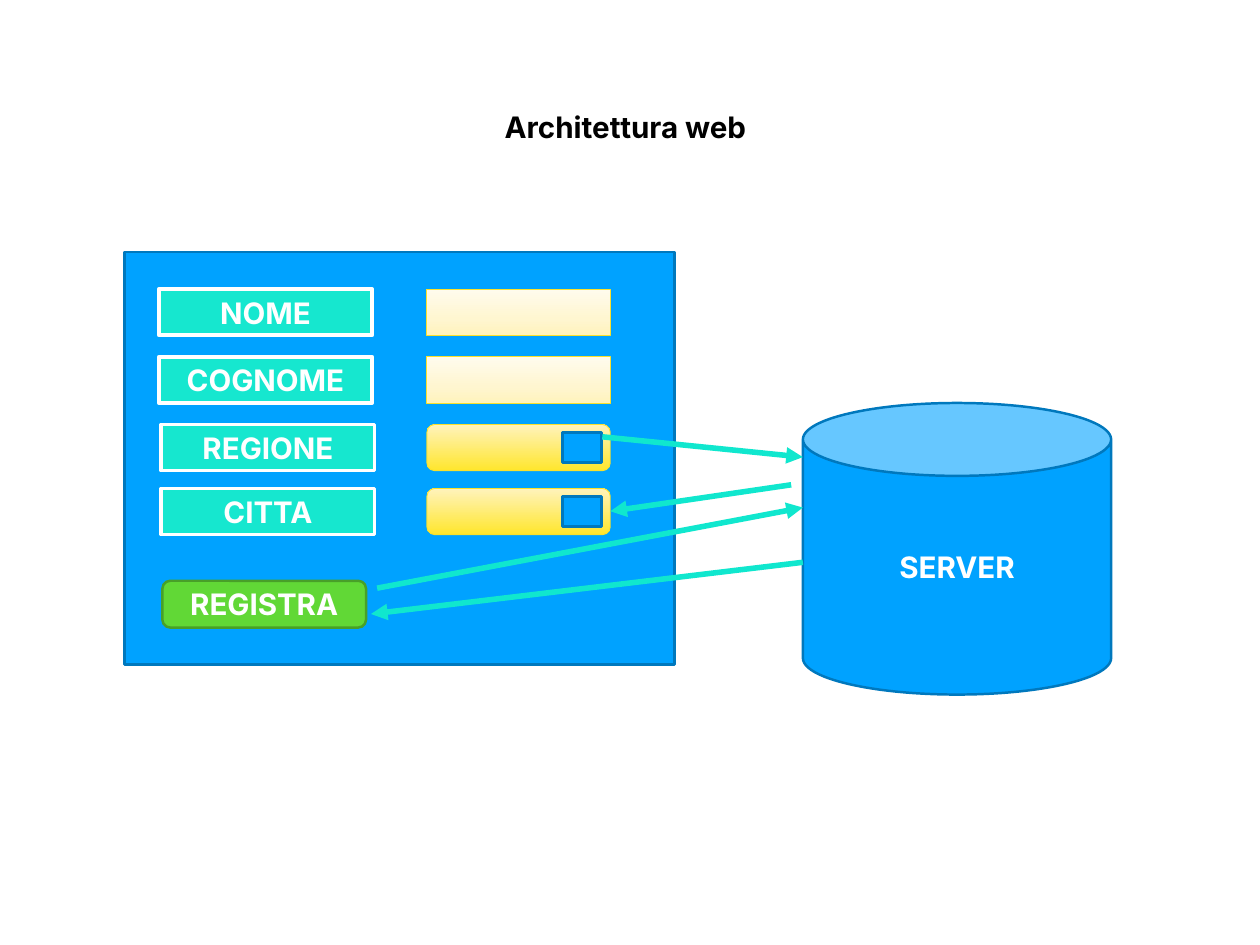
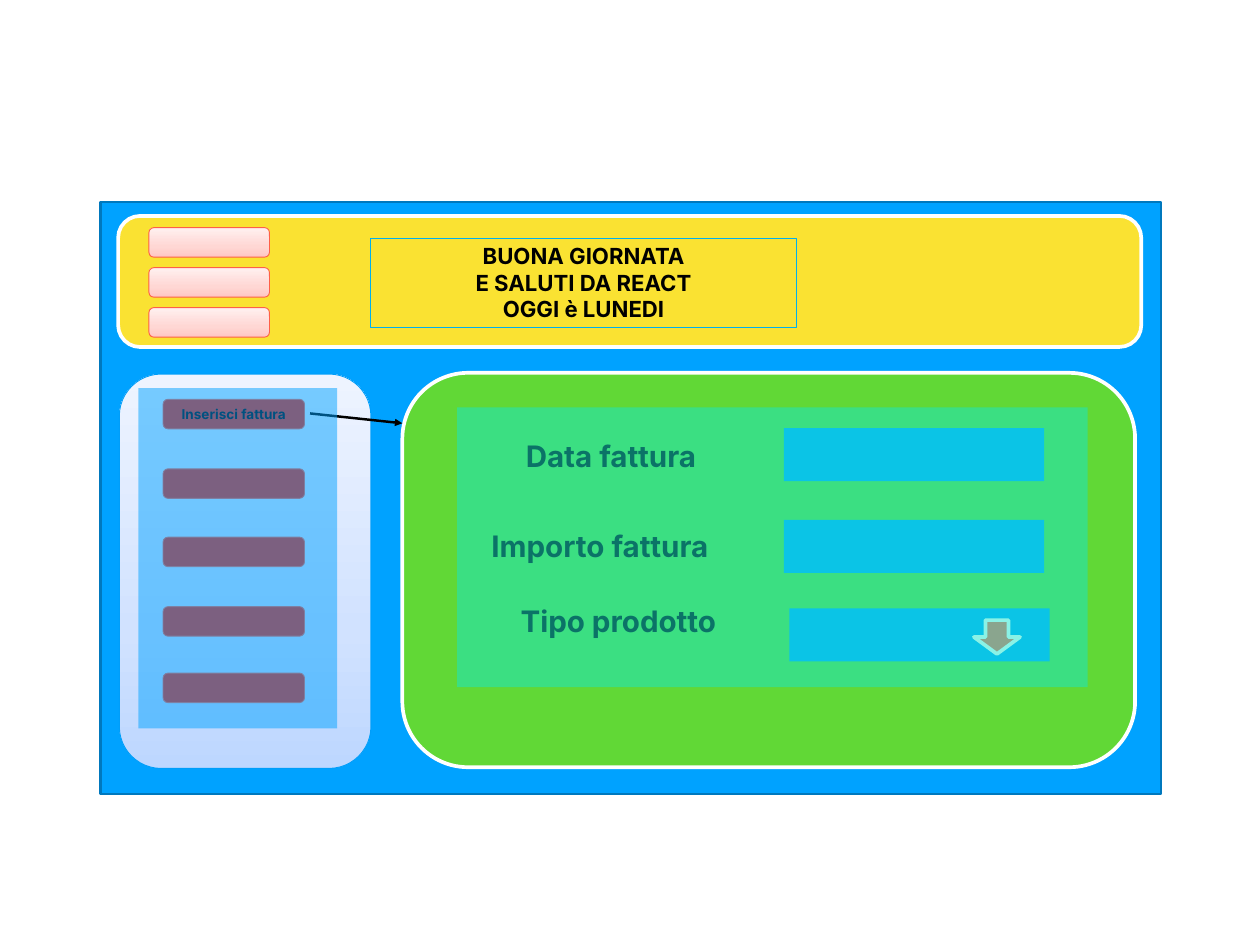
from copy import deepcopy
from dataclasses import dataclass
from typing import NamedTuple, Optional

from pptx import Presentation
from pptx import util as u
from pptx.dml.color import RGBColor
from pptx.enum import shapes as kinds, text as txt
from pptx.oxml import ns, xmlchemy

BLACK = RGBColor(0x00, 0x00, 0x00)
WHITE = RGBColor(0xFF, 0xFF, 0xFF)
BLUE = RGBColor(0x00, 0xA2, 0xFF)
DARK_BLUE = RGBColor(0x00, 0x78, 0xBD)
SKY = RGBColor(0x00, 0xB0, 0xF0)
SIDEBAR_EDGE = RGBColor(0x00, 0x9E, 0xF9)
TEAL = RGBColor(0x16, 0xE7, 0xCF)
ARROW_TEAL = RGBColor(0x10, 0xE7, 0xCE)
GREEN = RGBColor(0x61, 0xD8, 0x36)
DARK_GREEN = RGBColor(0x48, 0xA0, 0x28)
YELLOW = RGBColor(0xFA, 0xE2, 0x32)
GOLD = RGBColor(0xF9, 0xE1, 0x2C)
RED = RGBColor(0xFA, 0x1F, 0x00)
CORAL = RGBColor(0xFE, 0x5F, 0x48)
SALMON = RGBColor(0xFF, 0x64, 0x4E)

Gradient = tuple[tuple[float, RGBColor], ...]
CREAM_FADE: Gradient = (
    (0, RGBColor(0xFF, 0xF3, 0xBC)),
    (0.35, RGBColor(0xFF, 0xF6, 0xD0)),
    (1, RGBColor(0xFF, 0xFB, 0xED)),
)
YELLOW_FADE: Gradient = (
    (0, RGBColor(0xFF, 0xE6, 0x2D)),
    (1, RGBColor(0xFF, 0xF3, 0xBC)),
)
PINK_FADE: Gradient = (
    (0, RGBColor(0xFF, 0xC6, 0xC2)),
    (0.35, RGBColor(0xFF, 0xD7, 0xD4)),
    (1, RGBColor(0xFF, 0xF0, 0xEF)),
)
ICE_FADE: Gradient = (
    (0, RGBColor(0xBD, 0xD7, 0xFF)),
    (0.35, RGBColor(0xD1, 0xE2, 0xFF)),
    (1, RGBColor(0xEE, 0xF4, 0xFF)),
)

RECT = kinds.MSO_SHAPE.RECTANGLE
ROUND = kinds.MSO_SHAPE.ROUNDED_RECTANGLE
MIDDLE = txt.MSO_ANCHOR.MIDDLE
FONT = {"name": "Inter", "bold": True}
LABEL_FRAME = {
    "word_wrap": True,
    "vertical_anchor": MIDDLE,
    "auto_size": txt.MSO_AUTO_SIZE.NONE,
    "margin_left": u.Pt(4),
    "margin_right": u.Pt(4),
    "margin_top": u.Pt(4),
    "margin_bottom": u.Pt(4),
}


class Box(NamedTuple):
    left: float
    top: float
    width: float
    height: float


class Arrow(NamedTuple):
    x1: float
    y1: float
    x2: float
    y2: float


@dataclass(frozen=True)
class Look:
    fill: RGBColor | Gradient | None
    line: Optional[RGBColor] = None
    weight: float = 0.75
    geometry: kinds.MSO_SHAPE = RECT
    alpha: Optional[int] = None


PANEL = Look(BLUE, DARK_BLUE, 2)
SERVER = Look(BLUE, DARK_BLUE, 2, kinds.MSO_SHAPE.CAN)
FIELD_NAME = Look(TEAL, WHITE, 3)
TEXT_INPUT = Look(CREAM_FADE, GOLD)
DROPDOWN = Look(YELLOW_FADE, GOLD, geometry=ROUND)
REGISTER_BUTTON = Look(GREEN, DARK_GREEN, 2, ROUND)
HEADER = Look(YELLOW, WHITE, 3, ROUND)
MENU_BAR = Look(PINK_FADE, CORAL, geometry=ROUND)
GREETING = Look(None, SKY)
SIDEBAR = Look(ICE_FADE, SIDEBAR_EDGE, geometry=ROUND)
MENU_BUTTON = Look(RED, CORAL, geometry=ROUND)
CONTENT = Look(GREEN, WHITE, 3, ROUND)
INVOICE_INPUT = Look(BLUE)
DROP_ARROW = Look(SALMON, WHITE, 3, kinds.MSO_SHAPE.DOWN_ARROW)
CONTENT_VEIL = Look(TEAL, alpha=50)
SIDEBAR_VEIL = Look(BLUE, alpha=50)


def points(lengths: tuple) -> list:
    return [u.Pt(length) for length in lengths]


def set_all(target: object, values: dict) -> None:
    for name, value in values.items():
        setattr(target, name, value)


def add_child(parent, tag: str, **attributes: str) -> None:
    child = xmlchemy.OxmlElement(tag)
    for name, value in attributes.items():
        child.set(name, value)
    parent.append(child)


def paint_gradient(shape, stops: Gradient) -> None:
    shape.fill.gradient()
    shape.fill.gradient_angle = 90
    stop_list = shape._element.spPr.find(".//" + ns.qn("a:gsLst"))
    for _ in stops[2:]:
        stop_list.append(deepcopy(stop_list[0]))
    for stop, (position, color) in zip(shape.fill.gradient_stops, stops):
        stop.color.rgb = color
        stop.position = position


def write(frame, lines: str, size: float, color: RGBColor, layout: dict) -> None:
    frame.text = lines
    set_all(frame, layout)
    for paragraph in frame.paragraphs:
        paragraph.alignment = txt.PP_ALIGN.CENTER
        for run in paragraph.runs:
            set_all(run.font, FONT | {"size": u.Pt(size)})
            run.font.color.rgb = color


def draw(slide, box: Box, look: Look, lines: str = "", size: float = 24,
         color: RGBColor = WHITE, anchor: txt.MSO_ANCHOR = MIDDLE) -> None:
    shape = slide.shapes.add_shape(look.geometry, *points(box))
    shape.shadow.inherit = False
    if look.fill is None:
        shape.fill.background()
    elif isinstance(look.fill, RGBColor):
        shape.fill.solid()
        shape.fill.fore_color.rgb = look.fill
    else:
        paint_gradient(shape, look.fill)
    if look.alpha is not None:
        solid_color = shape._element.spPr.find(".//" + ns.qn("a:srgbClr"))
        add_child(solid_color, "a:alpha", val=str(look.alpha * 1000))
    if look.line is None:
        shape.line.fill.background()
    else:
        shape.line.color.rgb = look.line
        shape.line.width = u.Pt(look.weight)
    if lines:
        write(shape.text_frame, lines, size, color,
              {"word_wrap": True, "vertical_anchor": anchor})


def draw_label(slide, box: Box, wording: str) -> None:
    label = slide.shapes.add_textbox(*points(box))
    write(label.text_frame, wording, 24, BLACK, LABEL_FRAME)


def draw_arrow(slide, arrow: Arrow, color: RGBColor, weight: float) -> None:
    link = slide.shapes.add_connector(kinds.MSO_CONNECTOR.STRAIGHT, *points(arrow))
    link.line.color.rgb = color
    link.line.width = u.Pt(weight)
    add_child(link.line._get_or_add_ln(), "a:tailEnd", type="triangle")
    add_child(link._element.spPr, "a:effectLst")


def build_architecture(deck) -> None:
    slide = deck.slides.add_slide(deck.slide_layouts[5])
    title = slide.shapes.title
    set_all(title, dict(zip(Box._fields, points(Box(302, 84, 412.5, 37.5)))))
    write(title.text_frame, "Architettura web", 24, BLACK, LABEL_FRAME)

    draw(slide, Box(101, 205, 447, 335), PANEL)
    form_rows = (
        ("NOME", 129, 235, TEXT_INPUT),
        ("COGNOME", 129, 290, TEXT_INPUT),
        ("REGIONE", 131, 345, DROPDOWN),
        ("CITTA", 131, 397, DROPDOWN),
    )
    for name, left, top, input_look in form_rows:
        draw(slide, Box(left, top, 173.5, 37.5), FIELD_NAME, name)
        draw(slide, Box(347, top, 149, 37.5), input_look)
        if input_look is DROPDOWN:
            draw(slide, Box(457, top + 6.5, 32, 24.5), PANEL)
    draw(slide, Box(132, 472, 165.5, 38), REGISTER_BUTTON, "REGISTRA")
    draw(slide, Box(652.5, 327.5, 250.5, 237), SERVER, "SERVER")

    for request in (
        Arrow(306.5, 478, 652.5, 412.5),
        Arrow(652.5, 457, 301.5, 499),
        Arrow(489.5, 355, 652.5, 371.5),
        Arrow(643, 394, 496, 415.5),
    ):
        draw_arrow(slide, request, ARROW_TEAL, 4.5)


def build_invoice_page(deck) -> None:
    slide = deck.slides.add_slide(deck.slide_layouts[6])
    draw(slide, Box(81.5, 164, 862, 481.5), PANEL)

    draw(slide, Box(96, 175.5, 831.5, 106.5), HEADER)
    for row in range(3):
        draw(slide, Box(121, 185 + 32.5 * row, 98, 24), MENU_BAR)
    draw(slide, Box(301, 193.5, 346.5, 73), GREETING,
         "BUONA GIORNATA\nE SALUTI DA REACT\nOGGI è LUNEDI",
         18, BLACK, txt.MSO_ANCHOR.TOP)

    draw(slide, Box(97, 304, 204.5, 320.5), SIDEBAR)
    menu = ((324.5, "Inserisci fattura"), (381, ""), (436.5, ""), (493, ""), (547, ""))
    for top, entry in menu:
        draw(slide, Box(132.5, top, 115, 24), MENU_BUTTON, entry, 11, BLACK)

    draw(slide, Box(327, 303, 595.5, 320.5), CONTENT)
    invoice_rows = (
        ("Data fattura", Box(418.5, 351.5, 156, 37.5), 637, 348),
        ("Importo fattura", Box(391, 425, 193, 37.5), 637, 422.5),
        ("Tipo prodotto", Box(397.5, 486, 210, 37.5), 641.5, 494.5),
    )
    for name, label_box, left, top in invoice_rows:
        draw_label(slide, label_box, name)
        draw(slide, Box(left, top, 211.5, 43), INVOICE_INPUT)
    draw(slide, Box(791.5, 504, 37.5, 27.5), DROP_ARROW)

    draw_arrow(slide, Arrow(252, 336, 327, 344), BLACK, 2)
    draw(slide, Box(371.5, 331, 512.5, 227.5), CONTENT_VEIL)
    draw(slide, Box(112.5, 315.5, 161.5, 276.5), SIDEBAR_VEIL)


deck = Presentation()
set_all(deck, {"slide_width": u.Pt(1024), "slide_height": u.Pt(768)})
build_architecture(deck)
build_invoice_page(deck)
deck.save("out.pptx")
